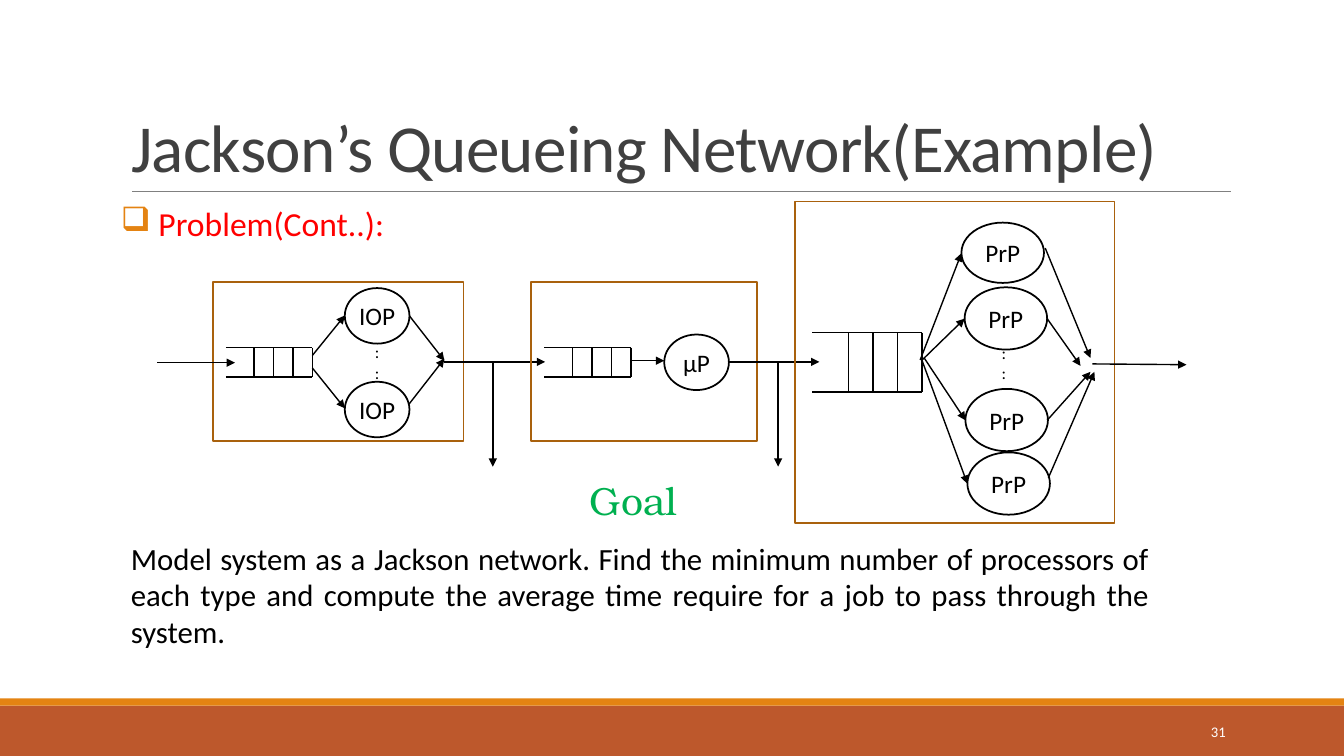
from lxml import etree
from pptx import Presentation
from pptx import util as u
from pptx.dml.color import RGBColor
from pptx.enum import shapes, text
from pptx.oxml.ns import qn

KINDS = shapes.MSO_SHAPE
ALIGN = text.PP_ALIGN
ANCHOR = text.MSO_ANCHOR
BLACK, BROWN, ORANGE = "000000", "A9610D", "E48312"


def rgb(value):
    """Turn a hex string into a colour."""
    return RGBColor.from_string(value)


def apply(obj, values):
    """Set each attribute in a dict of format values."""
    for name, value in values.items():
        setattr(obj, name, value)


def add_para(tf, runs, first=True, font="Calibri", size=18, **values):
    """Write a paragraph of (text, colour) runs."""
    p = tf.paragraphs[0] if first else tf.add_paragraph()
    apply(p, values)
    for words, color in runs:
        r = p.add_run()
        r.text = words
        apply(r.font, {"name": font, "size": u.Pt(size)})
        r.font.color.rgb = rgb(color)
    return p


def add_box(slide, kind, x, y, w, h, fill=None, line=None):
    """Add a preset shape without shadow."""
    sp = slide.shapes.add_shape(kind, u.Cm(x), u.Cm(y), u.Cm(w), u.Cm(h))
    sp.shadow.inherit = False
    if fill:
        sp.fill.solid()
        sp.fill.fore_color.rgb = rgb(fill)
    else:
        sp.fill.background()
    if line:
        sp.line.color.rgb = rgb(line)
        sp.line.width = u.Pt(1.25)
    else:
        sp.line.fill.background()
    return sp


def add_text(slide, x, y, w, h, **values):
    """Add a wrapping text box and return its frame."""
    tf = slide.shapes.add_textbox(u.Cm(x), u.Cm(y), u.Cm(w), u.Cm(h)).text_frame
    apply(tf, {"word_wrap": True, **values})
    return tf


def add_line(slide, x1, y1, x2, y2, color=BLACK, width=1, arrow=False):
    """Draw a straight line, with an arrowhead at its end if asked."""
    cx = slide.shapes.add_connector(shapes.MSO_CONNECTOR.STRAIGHT,
                                    u.Cm(x1), u.Cm(y1), u.Cm(x2), u.Cm(y2))
    cx.line.color.rgb = rgb(color)
    cx.line.width = u.Pt(width)
    if arrow:
        etree.SubElement(cx.line._get_or_add_ln(), qn("a:tailEnd"), type="triangle")
    etree.SubElement(cx._element.spPr, qn("a:effectLst"))


def add_node(slide, x, y, w, h, lines, size=18, fill="FFFFFF", line=BLACK):
    """Draw an ellipse with centred lines of text."""
    tf = add_box(slide, KINDS.OVAL, x, y, w, h, fill, line).text_frame
    apply(tf, {"margin_left": 0, "margin_right": 0, "margin_top": 0, "margin_bottom": 0,
               "word_wrap": False, "vertical_anchor": ANCHOR.MIDDLE})
    for i, words in enumerate(lines):
        add_para(tf, [(words, BLACK)], i == 0, size=size, alignment=ALIGN.CENTER)


def add_queue(slide, x, y, w, h, gap):
    """Draw a queue open on the left with four evenly spaced bars."""
    for edge in (y, y + h):
        add_line(slide, x, edge, x + w, edge)
    for i in range(4):
        bar = x + w - i * gap
        add_line(slide, bar, y, bar, y + h)


def add_station(slide, box, queue, label, nodes, arrows, dots=None):
    """Draw a framed queue with its servers and arrows, relative to the box."""
    x, y, w, h = box
    add_box(slide, KINDS.RECTANGLE, x, y, w, h, line=BROWN)
    qx, qy, *rest = queue
    add_queue(slide, x + qx, y + qy, *rest)
    for nx, ny, nw, nh in nodes:
        add_node(slide, x + nx, y + ny, nw, nh, [label])
    if dots:
        dx, dy, dw, dh = dots
        add_node(slide, x + dx, y + dy, dw, dh, [":", ":"], size=12, fill=None, line=None)
    for x1, y1, x2, y2 in arrows:
        add_line(slide, x + x1, y + y1, x + x2, y + y2, arrow=True)


def add_title(slide, x, y, w, h):
    """Place the title and the rule under it."""
    sp = slide.shapes.title
    apply(sp, {"left": u.Cm(x), "top": u.Cm(y), "width": u.Cm(w), "height": u.Cm(h)})
    apply(sp.text_frame, {"vertical_anchor": ANCHOR.BOTTOM, "word_wrap": True})
    p = add_para(sp.text_frame, [("Jackson’s Queueing Network(Example)", "404040")], size=48,
                 alignment=ALIGN.LEFT, line_spacing=0.85)
    p.runs[0].font._element.set("spc", "-50")
    add_line(slide, x + 0.28, y + h, x + w + 0.02, y + h, "808080", 0.5)


def add_problem(slide, x, y, w, h):
    """Write the bulleted heading."""
    tf = add_text(slide, x, y, w, h, margin_left=0, margin_right=0)
    p = add_para(tf, [(" ", BLACK), ("Problem(Cont..):", "FF0000")], size=24,
                 alignment=ALIGN.JUSTIFY, line_spacing=0.9,
                 space_before=u.Pt(12), space_after=u.Pt(2))
    pPr = p._p.get_or_add_pPr()
    apply_indent = {"marL": u.Cm(0.25), "indent": -u.Cm(0.25)}
    for name, value in apply_indent.items():
        pPr.set(name, str(int(value)))
    color = etree.SubElement(pPr, qn("a:buClr"))
    etree.SubElement(color, qn("a:srgbClr"), val=ORANGE)
    etree.SubElement(pPr, qn("a:buChar"), char="❑")


def add_goal(slide, x, y, w, h):
    """Write the goal heading and its statement."""
    tf = add_text(slide, x, y, w, h)
    add_para(tf, [("Goal ", "00B050")], font="TeX Gyre Bonum", size=28,
             alignment=ALIGN.CENTER, space_before=u.Pt(14))
    add_para(tf, [("Model system as a Jackson network. Find the minimum number of processors "
                   "of each type and compute the average time require for a job to pass "
                   "through the system. ", BLACK)], False, size=22,
             alignment=ALIGN.JUSTIFY, space_before=u.Pt(11))


def add_footer(slide, x, y, w, h):
    """Draw the two bottom bands and the slide number."""
    add_box(slide, KINDS.RECTANGLE, x, y + 0.18, w, h - 0.18, "BD582C")
    add_box(slide, KINDS.RECTANGLE, x, y, w, 0.18, ORANGE)
    tf = add_text(slide, x + 27.51, y + 0.33, 3.63, 1.02, vertical_anchor=ANCHOR.MIDDLE)
    add_para(tf, [("31", "FFFFFF")], size=10.5, alignment=ALIGN.RIGHT)


def add_network(slide, x, y):
    """Draw the three stations of the network from its top left corner."""
    add_station(slide, (x, y + 2.03, 6.32, 4.01), (0.33, 1.65, 2.18, 0.74, 0.49), "IOP",
                [(3.33, top, 1.63, 1.4) for top in (0.15, 2.51)],
                [(2.51, 1.85, 3.33, 0.84), (2.51, 2.16, 3.33, 3.18),
                 (4.95, 0.84, 5.84, 1.98), (4.95, 3.07, 5.84, 1.93),
                 (5.84, 2.01, 8.38, 2.01), (-1.4, 2.03, 0.56, 2.03),
                 (7.06, 2.03, 7.06, 4.65)],
                (3.33, 1.32, 1.63, 1.4))
    add_station(slide, (x + 8.03, y + 2.03, 5.69, 4.01), (0.33, 1.65, 2.18, 0.74, 0.49), "μP",
                [(3.35, 1.32, 1.63, 1.4)],
                [(2.54, 1.98, 3.35, 1.98), (4.98, 2.01, 7.26, 2.01),
                 (6.22, 2.03, 6.22, 4.65)])
    add_station(slide, (x + 14.68, y, 8.05, 8.1), (0.43, 3.3, 2.77, 1.5, 0.62), "PrP",
                [(4.19, 0.53, 2.08, 1.52), (4.27, 2.16, 2.08, 1.57),
                 (4.29, 4.72, 2.08, 1.57), (4.34, 6.32, 2.08, 1.57)],
                [(3.15, 3.99, 4.19, 1.3), (3.18, 4.01, 4.27, 2.95),
                 (3.25, 3.94, 4.29, 5.51), (3.18, 3.96, 4.34, 7.11),
                 (6.3, 1.17, 7.44, 3.94), (6.35, 2.95, 7.19, 4.14),
                 (6.35, 5.51, 7.44, 4.29), (6.38, 6.96, 7.54, 4.29),
                 (7.49, 4.09, 9.86, 4.11)],
                (4.22, 2.64, 2.08, 2.84))


def main():
    """Build the slide and save it."""
    prs = Presentation()
    apply(prs, {"slide_width": u.Cm(33.87), "slide_height": u.Cm(19.05)})
    slide = prs.slides.add_slide(prs.slide_layouts[5])
    add_footer(slide, 0, 17.6, 33.87, 1.45)
    add_title(slide, 3.05, 0.79, 27.94, 4.04)
    add_problem(slide, 3.05, 5.11, 27.94, 1.2)
    add_goal(slide, 3.05, 11.89, 26.16, 4.7)
    add_network(slide, 5.36, 5.08)
    prs.save("out.pptx")


if __name__ == "__main__":
    main()
